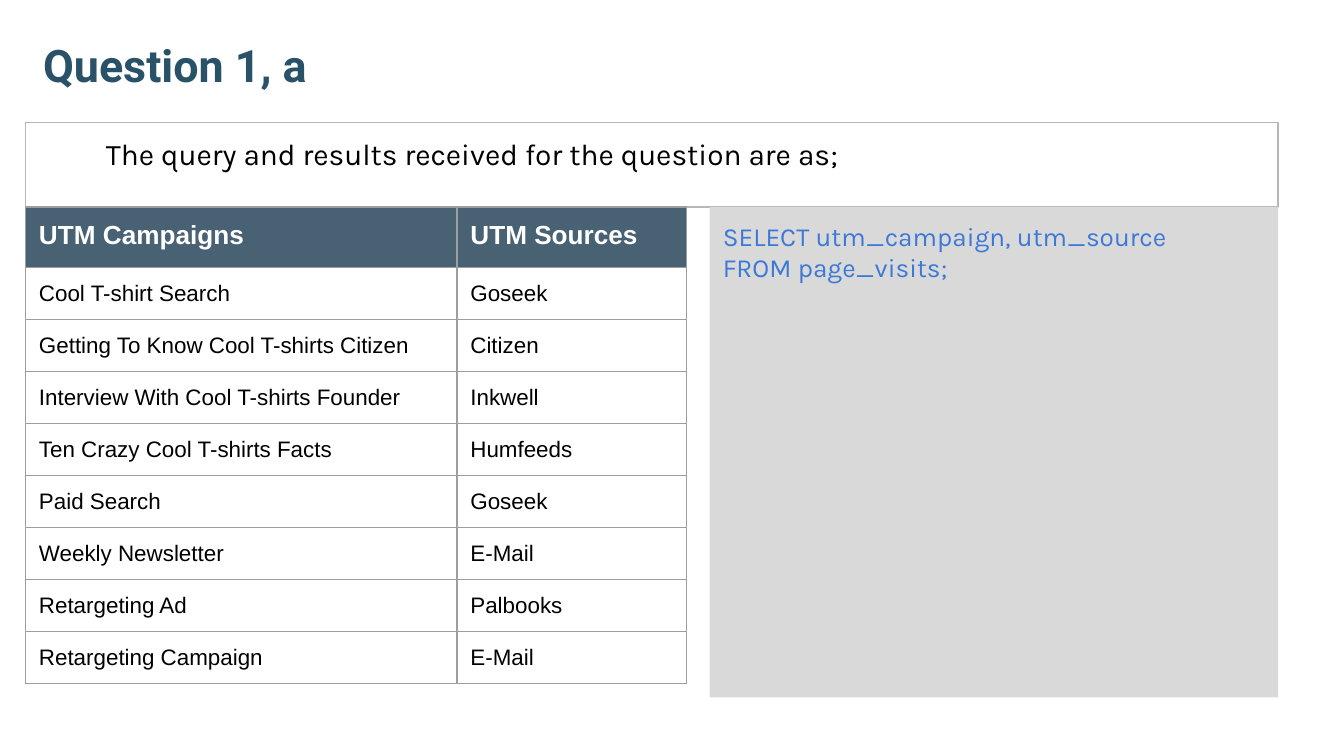
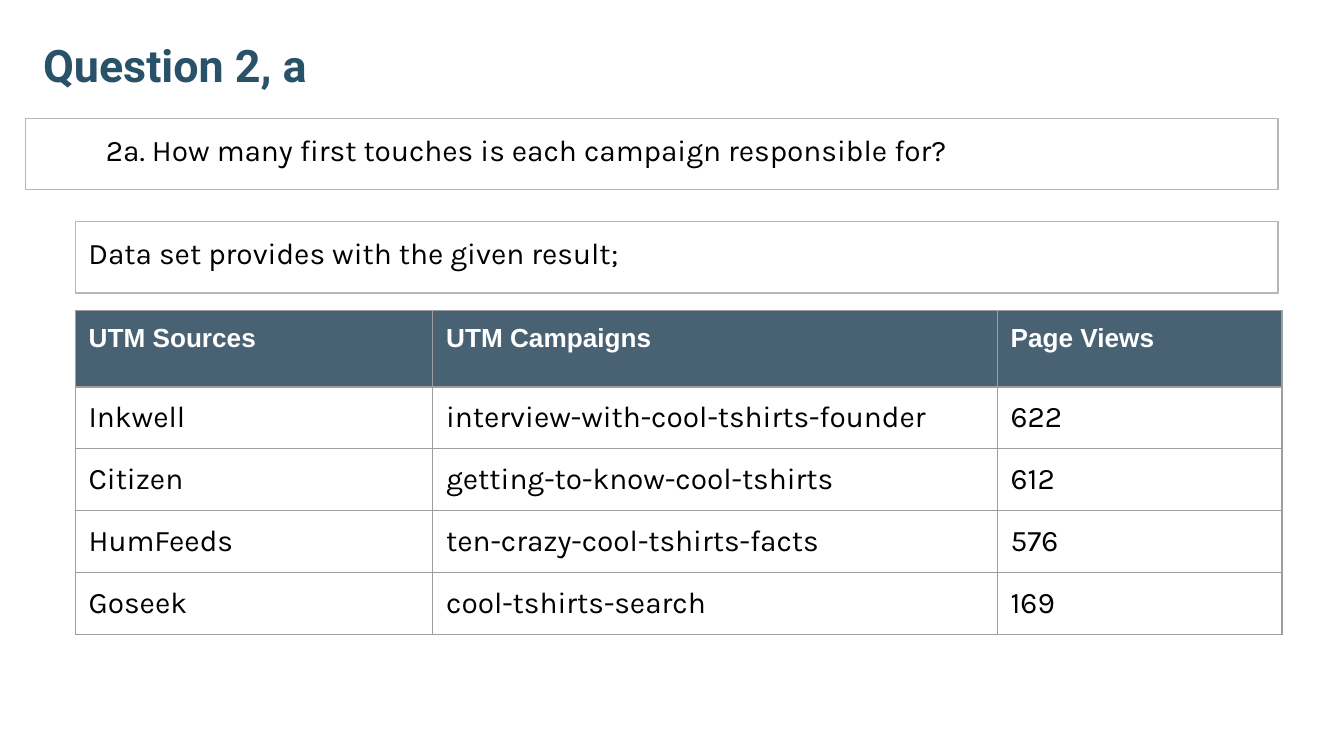
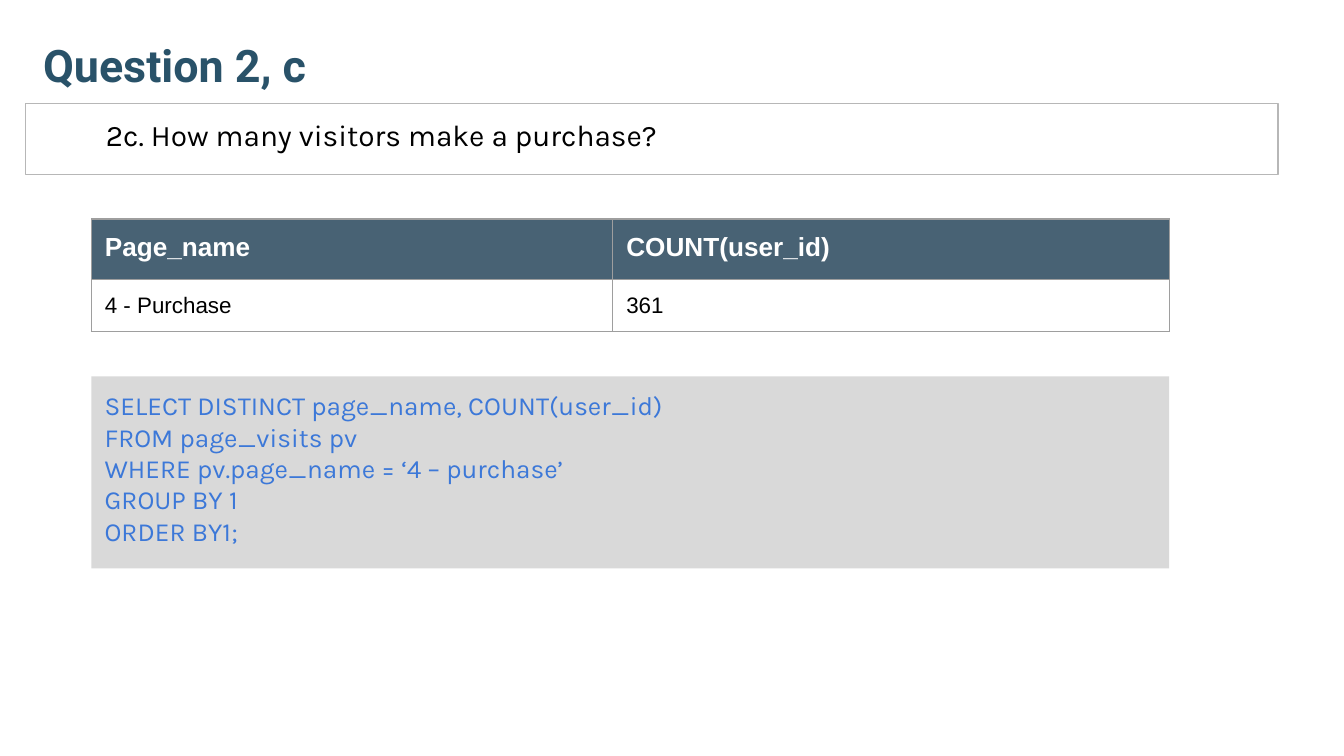
from lxml import etree
from pptx import Presentation
from pptx.dml.color import RGBColor
from pptx.enum.shapes import MSO_SHAPE
from pptx.enum.text import MSO_ANCHOR, MSO_AUTO_SIZE, PP_ALIGN
from pptx.oxml.ns import qn
from pptx.util import Inches, Pt

RECTANGLE = MSO_SHAPE.RECTANGLE
TOP, BOTTOM = MSO_ANCHOR.TOP, MSO_ANCHOR.BOTTOM
NO_AUTOFIT = MSO_AUTO_SIZE.NONE
LEFT = PP_ALIGN.LEFT

TITLE_BLUE = RGBColor(0x29, 0x52, 0x69)
HEADER_BLUE = RGBColor(0x20, 0x40, 0x56)
QUERY_BLUE = RGBColor(0x3C, 0x78, 0xD8)
QUERY_GREY = RGBColor(0xD9, 0xD9, 0xD9)
BOX_BORDER = RGBColor(0xB7, 0xB7, 0xB7)
TABLE_BORDER = RGBColor(0x9E, 0x9E, 0x9E)
BLACK = RGBColor(0, 0, 0)
WHITE = RGBColor(0xFF, 0xFF, 0xFF)

HEADER_OPACITY = 82
BORDER_WIDTH = Pt(0.75)
MARGIN = Inches(0.1)
TITLE_AREA = (0.22, 0.25, 9.32, 0.53)
ROW_HEIGHT = 0.36  # rows grow to fit their text

# Content: places are left, top, width, height in inches
slides = [
    {
        "title": "Question 1, a",
        "boxes": [
            ((0.19, 0.91, 9.32, 0.63), 0.5,
             "The query and results received for the question are as;"),
        ],
        "table": {
            "left": 0.19, "top": 1.54, "columns": [3.21, 1.71],
            "header_height": 0.45, "font": "Arial", "size": 12,
            "rows": [
                ("UTM Campaigns", "UTM Sources"),
                ("Cool T-shirt Search", "Goseek"),
                ("Getting To Know Cool T-shirts Citizen", "Citizen"),
                ("Interview With Cool T-shirts Founder", "Inkwell"),
                ("Ten Crazy Cool T-shirts Facts", "Humfeeds"),
                ("Paid Search", "Goseek"),
                ("Weekly Newsletter", "E-Mail"),
                ("Retargeting Ad", "Palbooks"),
                ("Retargeting Campaign", "E-Mail"),
            ],
        },
        "query": ((5.28, 1.54, 4.23, 3.65),
                  "SELECT utm_campaign, utm_source\n"
                  "FROM page_visits;"),
    },
    {
        "title": "Question 2, a",
        "boxes": [
            ((0.19, 0.88, 9.32, 0.53), 0.5,
             "2a. How many first touches is each campaign responsible for?"),
            ((0.56, 1.65, 8.95, 0.53), 0,
             "Data set provides with the given result;"),
        ],
        "table": {
            "left": 0.56, "top": 2.31, "columns": [2.66, 4.2, 2.12],
            "header_height": 0.57, "font": "Karla", "size": 16,
            "rows": [
                ("UTM Sources", "UTM Campaigns", "Page Views"),
                ("Inkwell", "interview-with-cool-tshirts-founder", "622"),
                ("Citizen", "getting-to-know-cool-tshirts", "612"),
                ("HumFeeds", "ten-crazy-cool-tshirts-facts", "576"),
                ("Goseek", "cool-tshirts-search", "169"),
            ],
        },
        "query": None,
    },
    {
        "title": "Question 2, c",
        "boxes": [
            ((0.19, 0.77, 9.32, 0.53), 0.5,
             "2c. How many visitors make a purchase?"),
        ],
        "table": {
            "left": 0.68, "top": 1.63, "columns": [3.88, 4.14],
            "header_height": 0.45, "font": "Arial", "size": 12,
            "rows": [
                ("Page_name", "COUNT(user_id)"),
                ("4 - Purchase", "361"),
            ],
        },
        "query": ((0.68, 2.8, 8.02, 1.43),
                  "SELECT DISTINCT page_name, COUNT(user_id)\n"
                  "FROM page_visits pv\n"
                  "WHERE pv.page_name = ‘4 – purchase’\n"
                  "GROUP BY 1\n"
                  "ORDER BY1;"),
    },
]


def write_text(text_frame, text, font="Karla", size=16, color=BLACK,
               bold=False, indent=0):
    """Fill a text frame with one left-aligned paragraph per line."""
    text_frame.text = text
    for paragraph in text_frame.paragraphs:
        paragraph.alignment = LEFT
        if indent:
            properties = paragraph._p.get_or_add_pPr()
            properties.set("marL", str(Inches(indent)))
            properties.set("indent", "0")
        for run in paragraph.runs:
            run.font.name = font
            run.font.size = Pt(size)
            run.font.bold = bold
            run.font.color.rgb = color


def add_box(slide, place, fill=None, line=None):
    """Add a rectangle and return its text frame."""
    shape = slide.shapes.add_shape(RECTANGLE, *map(Inches, place))
    shape.shadow.inherit = False
    for part, color in ((shape.fill, fill), (shape.line.fill, line)):
        if color is None:
            part.background()
        else:
            part.solid()
            part.fore_color.rgb = color
    if line is not None:
        shape.line.width = BORDER_WIDTH
    text_frame = shape.text_frame
    text_frame.word_wrap = True
    text_frame.vertical_anchor = TOP
    text_frame.margin_left = text_frame.margin_right = MARGIN
    text_frame.margin_top = text_frame.margin_bottom = MARGIN
    return text_frame


# Widescreen slides, 16 to 9
presentation = Presentation()
presentation.slide_width = Inches(10)
presentation.slide_height = Inches(10) * 9 // 16
title_only = presentation.slide_layouts[5]

for content in slides:
    slide = presentation.slides.add_slide(title_only)

    # Title
    title = slide.shapes.title
    title.left, title.top, title.width, title.height = map(Inches, TITLE_AREA)
    title_frame = title.text_frame
    title_frame.auto_size = NO_AUTOFIT
    title_frame.vertical_anchor = BOTTOM
    title_frame.margin_left = title_frame.margin_right = MARGIN
    title_frame.margin_top = title_frame.margin_bottom = MARGIN
    write_text(title_frame, content["title"], font="Roboto", size=24,
               color=TITLE_BLUE, bold=True)

    # Question and remark boxes
    for place, indent, text in content["boxes"]:
        write_text(add_box(slide, place, line=BOX_BORDER), text, indent=indent)

    # Result table
    result = content["table"]
    rows, columns = result["rows"], result["columns"]
    heights = [result["header_height"]] + [ROW_HEIGHT] * (len(rows) - 1)
    table = slide.shapes.add_table(
        len(rows), len(columns), Inches(result["left"]), Inches(result["top"]),
        Inches(sum(columns)), Inches(sum(heights))).table
    table.horz_banding = False
    for column, width in zip(table.columns, columns):
        column.width = Inches(width)
    for row_index, (row, height) in enumerate(zip(table.rows, heights)):
        row.height = Inches(height)
        for cell, text in zip(row.cells, rows[row_index]):
            cell.margin_left = cell.margin_right = MARGIN
            cell.margin_top = cell.margin_bottom = MARGIN
            cell_properties = cell._tc.get_or_add_tcPr()
            for side in ("a:lnL", "a:lnR", "a:lnT", "a:lnB"):
                border = etree.SubElement(cell_properties, qn(side),
                                          w=str(BORDER_WIDTH))
                border_fill = etree.SubElement(border, qn("a:solidFill"))
                etree.SubElement(border_fill, qn("a:srgbClr"),
                                 val=str(TABLE_BORDER))
            if row_index == 0:
                cell.fill.solid()
                cell.fill.fore_color.rgb = HEADER_BLUE
                fill_color = cell_properties.find(
                    qn("a:solidFill") + "/" + qn("a:srgbClr"))
                etree.SubElement(fill_color, qn("a:alpha"),
                                 val=str(HEADER_OPACITY * 1000))
                write_text(cell.text_frame, text, font="Arial", size=14,
                           color=WHITE, bold=True)
            else:
                cell.fill.background()
                write_text(cell.text_frame, text, font=result["font"],
                           size=result["size"])

    # Query panel
    if content["query"]:
        place, query = content["query"]
        write_text(add_box(slide, place, fill=QUERY_GREY), query, size=14,
                   color=QUERY_BLUE)

presentation.save("out.pptx")
